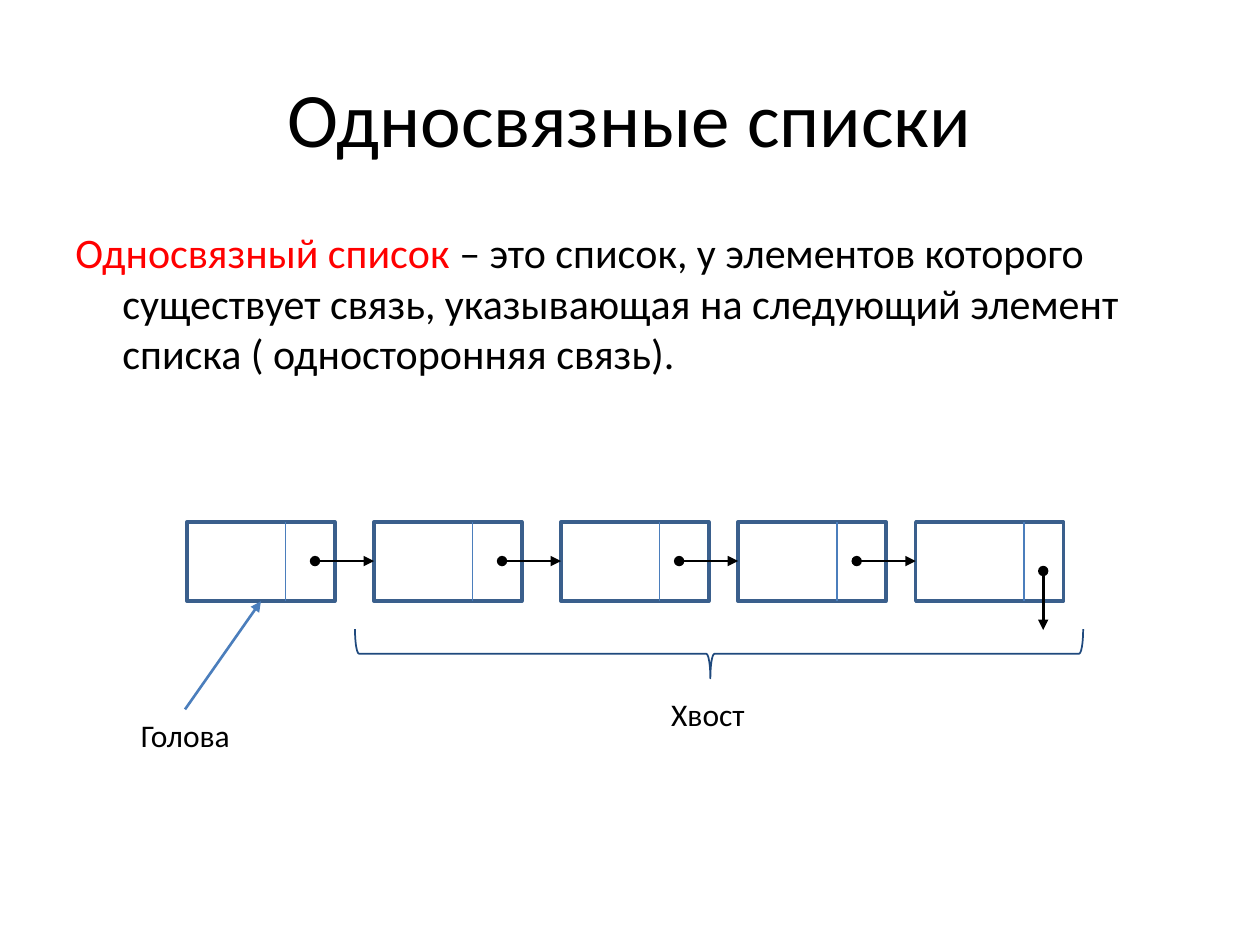
from lxml import etree
from pptx import Presentation
from pptx.dml.color import RGBColor
from pptx.enum.shapes import MSO_CONNECTOR, MSO_SHAPE
from pptx.enum.text import MSO_ANCHOR, PP_ALIGN
from pptx.oxml.ns import qn
from pptx.util import Cm, Pt

STRAIGHT = MSO_CONNECTOR.STRAIGHT
RECT, BRACE = MSO_SHAPE.RECTANGLE, MSO_SHAPE.RIGHT_BRACE
TOP, MIDDLE = MSO_ANCHOR.TOP, MSO_ANCHOR.MIDDLE
LEFT, CENTER = PP_ALIGN.LEFT, PP_ALIGN.CENTER
COLORS = {"text": "000000", "term": "FF0000", "box": "3A5F8C",
          "divider": "4B7EBC", "brace": "1F497D"}

prs = Presentation()
prs.slide_width, prs.slide_height = Cm(25.4), Cm(19.05)
s = prs.slides.add_slide(prs.slide_layouts[6])


def add_text(x, y, w, h, runs, size, align=LEFT, anchor=TOP, wrap=True):
    sp = s.shapes.add_textbox(Cm(x), Cm(y), Cm(w), Cm(h))
    tf = sp.text_frame
    tf.word_wrap = wrap
    tf.vertical_anchor = anchor
    p = tf.paragraphs[0]
    p.alignment = align
    for text, color in runs:
        r = p.add_run()
        r.text = text
        r.font.name = "Calibri"
        r.font.size = Pt(size)
        r.font.color.rgb = RGBColor.from_string(COLORS[color])
    return p


def add_line(x1, y1, x2, y2, color, width, head=None, tail=None):
    c = s.shapes.add_connector(STRAIGHT, Cm(x1), Cm(y1), Cm(x2), Cm(y2))
    c.line.color.rgb = RGBColor.from_string(COLORS[color])
    c.line.width = Pt(width)
    ln = c.line._get_or_add_ln()
    for tag, kind in (("a:headEnd", head), ("a:tailEnd", tail)):
        if kind:
            etree.SubElement(ln, qn(tag), type=kind)
    etree.SubElement(c._element.spPr, qn("a:effectLst"))


add_text(1.27, 0.76, 22.86, 3.18, [("Односвязные списки", "text")], 44, CENTER, MIDDLE)
p = add_text(1.27, 4.45, 22.86, 3.89, [
    ("Односвязный список ", "term"),
    ("– это список, у элементов которого существует связь, указывающая "
     "на следующий элемент списка ( односторонняя связь).", "text"),
], 24)
p.space_before = Pt(4.8)
pPr = p._p.get_or_add_pPr()
pPr.set("marL", str(Cm(0.95)))
pPr.set("indent", str(-Cm(0.95)))

node_y, node_w, node_h = 10.52, 2.98, 1.6
node_xs = [3.77, 7.54, 11.31, 14.88, 18.46]
link_y, link_len = 11.31, 1.19

outlines = [(s.shapes.add_shape(RECT, Cm(x), Cm(node_y), Cm(node_w), Cm(node_h)), "box", 2)
            for x in node_xs]
brace = s.shapes.add_shape(BRACE, Cm(14), Cm(5.84), Cm(0.99), Cm(14.68))
brace.rotation = 90
brace.adjustments[0], brace.adjustments[1] = 0.083, 0.512
outlines.append((brace, "brace", 1))
for sp, color, width in outlines:
    sp.shadow.inherit = False
    sp.fill.background()
    sp.line.color.rgb = RGBColor.from_string(COLORS[color])
    sp.line.width = Pt(width)

for x in node_xs:
    divider_x = x + (2.18 if x == node_xs[-1] else 1.99)
    add_line(divider_x, node_y, divider_x, node_y + node_h, "divider", 0.75)
for x in node_xs[1:]:
    add_line(x - link_len, link_y, x, link_y, "text", 1.5, "oval", "triangle")
add_line(21.03, 11.51, 21.03, 11.51 + link_len, "text", 1.5, "oval", "triangle")
add_line(3.73, 14.3, 5.26, node_y + node_h, "divider", 1.5, tail="triangle")

for x, y, w, label in ((2.59, 14.3, 2.34, "Голова"), (13.28, 13.89, 2.01, "Хвост")):
    add_text(x, y, w, 1.02, [(label, "text")], 18, wrap=False)

prs.save("out.pptx")
